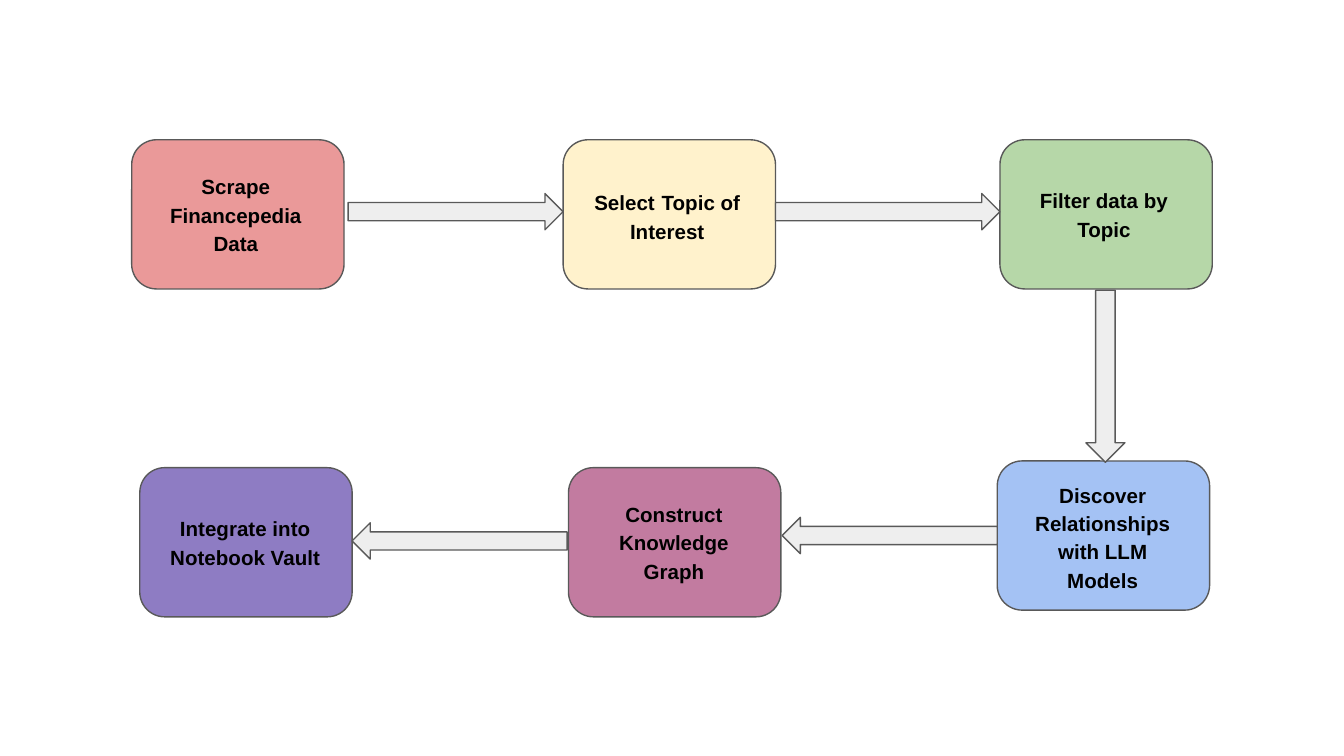
from dataclasses import dataclass

from pptx import Presentation
from pptx.dml.color import RGBColor
from pptx.enum.shapes import MSO_SHAPE as SHAPE
from pptx.enum.text import MSO_ANCHOR, PP_ALIGN
from pptx.util import Inches, Pt


@dataclass(frozen=True)
class Theme:
    font: str = "Arial"
    text_size: float = 11
    wide_space_size: float = 13
    text: str = "000000"
    outline: str = "595959"
    outline_width: float = 0.75
    arrow: str = "EEEEEE"
    red: str = "EA9999"
    yellow: str = "FFF2CC"
    green: str = "B6D7A8"
    blue: str = "A4C2F4"
    pink: str = "C27BA0"
    purple: str = "8E7CC3"


theme = Theme()
BOX_W, BOX_H = 1.58, 1.11
LABEL_W, LABEL_H = 1.43, 1.01

prs = Presentation()
prs.slide_width = Inches(10)
prs.slide_height = prs.slide_width * 9 // 16
s = prs.slides.add_slide(prs.slide_layouts[6])


def add_outlined(kind, x, y, w, h, fill):
    sp = s.shapes.add_shape(kind, Inches(x), Inches(y), Inches(w), Inches(h))
    sp.shadow.inherit = False
    sp.fill.solid()
    sp.fill.fore_color.rgb = RGBColor.from_string(fill)
    sp.line.color.rgb = RGBColor.from_string(theme.outline)
    sp.line.width = Pt(theme.outline_width)


# Process steps in flow order: label runs, box corner, label corner, fill
steps = [
    (["Scrape Financepedia Data"], 0.98, 1.04, 1.04, 1.08, theme.red),
    (["Select", " ", "Topic of Interest"], 4.19, 1.04, 4.25, 1.08, theme.yellow),
    (["Filter data by Topic"], 7.44, 1.04, 7.5, 1.08, theme.green),
    (["Discover Relationships with LLM Models"], 7.42, 3.43, 7.49, 3.48, theme.blue),
    (["Construct Knowledge Graph"], 4.23, 3.48, 4.3, 3.52, theme.pink),
    (["Integrate into Notebook Vault"], 1.04, 3.48, 1.11, 3.52, theme.purple),
]
for label, x, y, label_x, label_y, fill in steps:
    add_outlined(SHAPE.FLOWCHART_ALTERNATE_PROCESS, x, y, BOX_W, BOX_H, fill)
    box = s.shapes.add_textbox(Inches(label_x), Inches(label_y),
                               Inches(LABEL_W), Inches(LABEL_H))
    tf = box.text_frame
    tf.word_wrap = True
    tf.vertical_anchor = MSO_ANCHOR.MIDDLE
    tf.margin_left = tf.margin_right = Inches(0.1)
    tf.margin_top = tf.margin_bottom = Inches(0.1)
    p = tf.paragraphs[0]
    p.alignment = PP_ALIGN.CENTER
    p.line_spacing = 1.15
    p.space_after = Pt(4)
    for text in label:
        r = p.add_run()
        r.text = text
        r.font.name = theme.font
        r.font.size = Pt(theme.wide_space_size if text == " " else theme.text_size)
        r.font.bold = True
        r.font.color.rgb = RGBColor.from_string(theme.text)

# Block arrows from each step to the next
arrows = [
    (SHAPE.RIGHT_ARROW, 2.59, 1.44, 1.6, 0.27),
    (SHAPE.RIGHT_ARROW, 5.77, 1.44, 1.67, 0.27),
    (SHAPE.DOWN_ARROW, 8.08, 2.16, 0.29, 1.28),
    (SHAPE.LEFT_ARROW, 5.82, 3.85, 1.6, 0.27),
    (SHAPE.LEFT_ARROW, 2.62, 3.89, 1.6, 0.27),
]
for kind, x, y, w, h in arrows:
    add_outlined(kind, x, y, w, h, theme.arrow)

prs.save("out.pptx")
